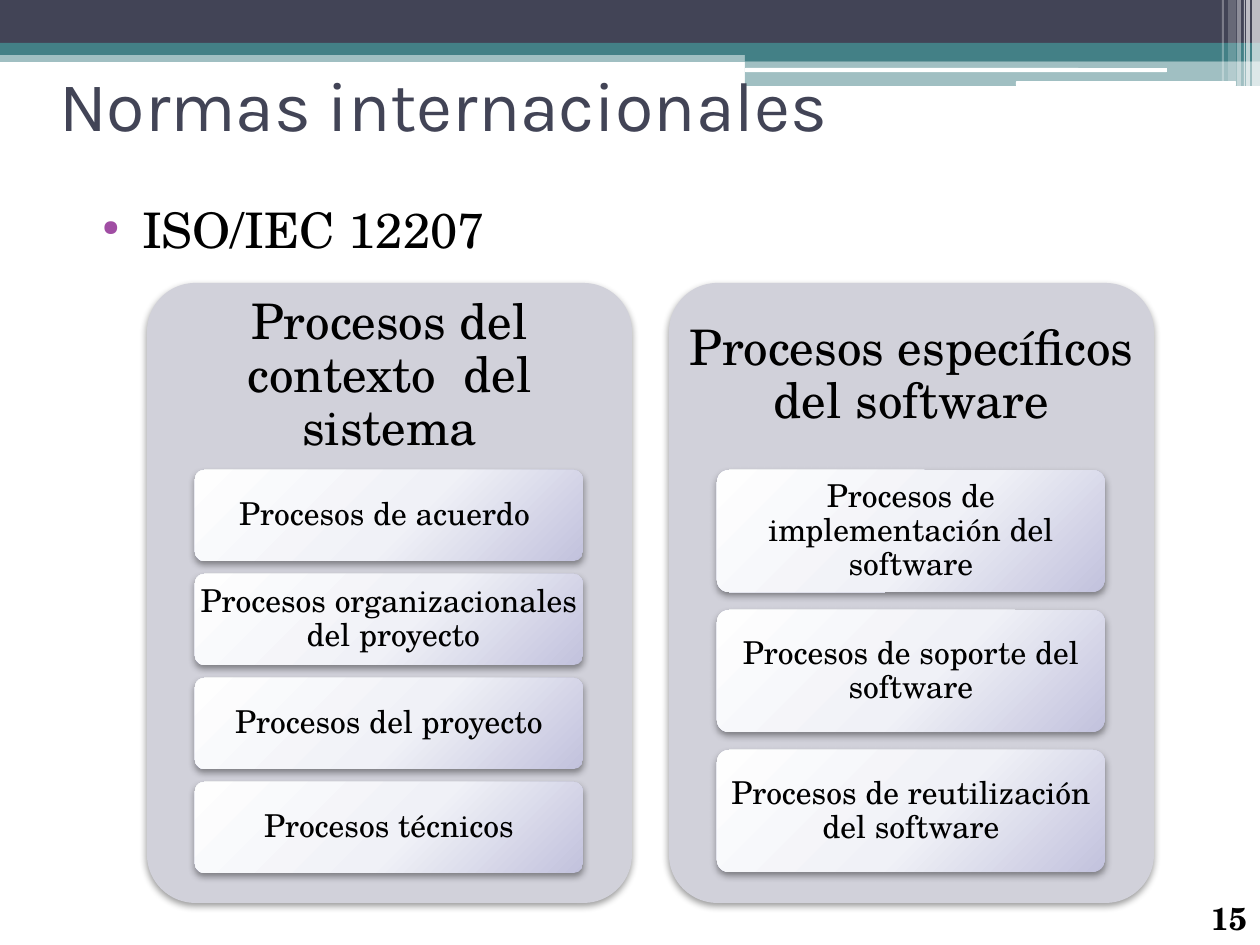
from lxml import etree
from pptx import Presentation
from pptx.dml.color import RGBColor
from pptx.enum.shapes import MSO_SHAPE as Shape
from pptx.enum.text import MSO_ANCHOR as Anchor, PP_ALIGN as Align
from pptx.oxml import parse_xml
from pptx.oxml.ns import nsdecls, qn
from pptx.util import Pt

EMU_PER_PX = 914400 / 126
COLORS = {
    "navy": "424456", "teal": "438086", "white": "FFFFFF", "black": "000000",
    "panel": "D1D1DA", "bullet": "A04DA3",
    "light": "FEFEFE", "mid": "F0F1F7", "lavender": "C2C2DD",
}
SERIF = "TeX Gyre Schola"


def add_block(kind, bounds, color, opacity=100, radius=None, shadow=False):
    """Add a borderless shape; "gradient" as color gives the card sheen."""
    block = slide.shapes.add_shape(kind, *[px(n) for n in bounds])
    block.line.fill.background()
    block.shadow.inherit = False
    if radius is not None:
        block.adjustments[0] = radius
    properties = block.fill._xPr
    if color == "gradient":
        stops = "".join(
            f'<a:gs pos="{position * 1000}"><a:srgbClr val="{COLORS[name]}"/></a:gs>'
            for position, name in ((0, "light"), (55, "mid"), (100, "lavender")))
        properties.find(qn("a:prstGeom")).addnext(parse_xml(
            f'<a:gradFill {nsdecls("a")} rotWithShape="1"><a:gsLst>{stops}</a:gsLst>'
            '<a:path path="circle"><a:fillToRect l="-40000" t="-90000" '
            'r="140000" b="190000"/></a:path></a:gradFill>'))
    else:
        block.fill.solid()
        block.fill.fore_color.rgb = RGBColor.from_string(COLORS[color])
        if opacity < 100:
            rgb = properties.find(qn("a:solidFill")).find(qn("a:srgbClr"))
            etree.SubElement(rgb, qn("a:alpha"), val=str(opacity * 1000))
    if shadow:
        properties.find(qn("a:effectLst")).append(parse_xml(
            f'<a:outerShdw {nsdecls("a")} blurRad="52070" dist="25400" '
            'dir="5400000" rotWithShape="0"><a:srgbClr val="000000">'
            '<a:alpha val="40000"/></a:srgbClr></a:outerShdw>'))
    return block


def write(box, text, size, insets, color="black", font=SERIF,
          align=Align.LEFT, anchor=Anchor.MIDDLE, spacing=None, bold=False):
    frame = box.text_frame
    frame.word_wrap = True
    frame.vertical_anchor = anchor
    frame.margin_left = frame.margin_right = px(insets[0])
    frame.margin_top = frame.margin_bottom = px(insets[1])
    para = frame.paragraphs[0]
    para.alignment = align
    if spacing:
        para.line_spacing = spacing
    span = para.add_run()
    span.text = text
    span.font.size = Pt(size)
    span.font.name = font
    span.font.bold = bold
    span.font.color.rgb = RGBColor.from_string(COLORS[color])
    return para


px = lambda count: round(count * EMU_PER_PX)

deck = Presentation()
deck.slide_width, deck.slide_height = px(1260), px(945)
slide = deck.slides.add_slide(deck.slide_layouts[6])

# Header bands
for bounds, color, opacity in (
    ((0, 50, 1260, 12), "teal", 50),
    ((0, 0, 1260, 43), "navy", 100),
    ((0, 43, 1260, 12), "teal", 100),
    ((745, 49, 515, 12), "teal", 100),
    ((745, 61, 515, 25), "teal", 50),
):
    add_block(Shape.RECTANGLE, bounds, color, opacity)
for bounds in ((745, 68, 422, 4), (1016, 81, 220, 5)):
    add_block(Shape.ROUNDED_RECTANGLE, bounds, "white", radius=0.17)

# Translucent strips at the right edge
for left, width, height, opacity in (
    (1252, 8, 86, 65), (1246, 4, 86, 65), (1244, 1, 86, 60),
    (1237, 4, 86, 40), (1228, 8, 81, 20), (1222, 2, 81, 30),
):
    add_block(Shape.RECTANGLE, (left, 0, width, height), "white", opacity)

title = slide.shapes.add_textbox(px(48), px(16), px(1168), px(175))
write(title, "Normas internacionales", 40, (11, 6), "navy", "Karla")

body = slide.shapes.add_textbox(px(77), px(194), px(1102), px(75))
standard = write(body, "ISO/IEC 12207", 28, (11, 6), anchor=Anchor.TOP)
indent = standard._p.get_or_add_pPr()
indent.set("marL", str(px(54)))
indent.set("indent", str(px(-40)))
bullet_color = etree.SubElement(indent, qn("a:buClr"))
etree.SubElement(bullet_color, qn("a:srgbClr"), val=COLORS["bullet"])
etree.SubElement(indent, qn("a:buSzPct"), val="45000")
etree.SubElement(indent, qn("a:buChar"), char="●")

number = slide.shapes.add_textbox(px(1200), px(891), px(60), px(54))
write(number, "15", 18, (11, 8), anchor=Anchor.TOP, bold=True)

# Two panels of process cards
PANEL_TOP, PANEL_WIDTH, PANEL_HEIGHT = 283, 485, 620
CARDS_TOP, CARDS_HEIGHT, CARD_WIDTH = 470, 403, 388
for left, heading, gap, processes in (
    (147, "Procesos del contexto  del sistema", 13,
     ("Procesos de acuerdo ", "Procesos organizacionales  del proyecto",
      "Procesos del proyecto", "Procesos técnicos")),
    (669, "Procesos específicos del software", 18,
     ("Procesos de implementación del software",
      "Procesos de soporte del software",
      "Procesos de reutilización del software")),
):
    add_block(Shape.ROUNDED_RECTANGLE, (left, PANEL_TOP, PANEL_WIDTH, PANEL_HEIGHT),
              "panel", radius=0.1, shadow=True)
    heading_box = slide.shapes.add_textbox(
        px(left), px(PANEL_TOP), px(PANEL_WIDTH), px(CARDS_TOP - PANEL_TOP))
    write(heading_box, heading, 28, (15, 15), align=Align.CENTER, spacing=0.9)

    card_left = left + (PANEL_WIDTH - CARD_WIDTH) // 2
    card_height = (CARDS_HEIGHT - gap * (len(processes) - 1)) // len(processes)
    for index, process in enumerate(processes):
        card_top = CARDS_TOP + index * (card_height + gap)
        card = add_block(Shape.ROUNDED_RECTANGLE,
                         (card_left, card_top, CARD_WIDTH, card_height),
                         "gradient", radius=0.1, shadow=True)
        write(card, process, 18, (3, 3), align=Align.CENTER, spacing=0.9)

deck.save("out.pptx")
